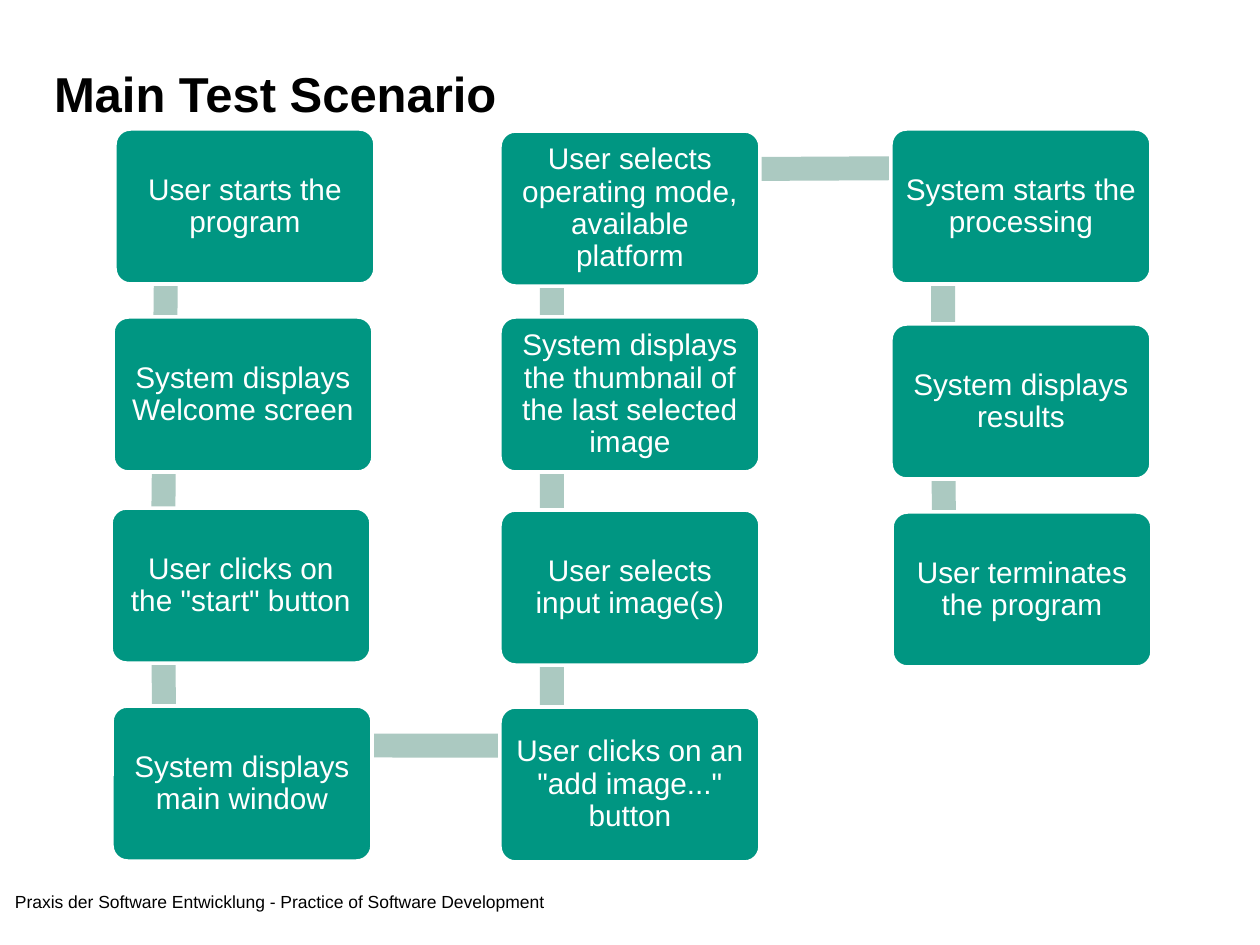
from dataclasses import dataclass
from itertools import pairwise
from math import atan2, degrees, hypot

from pptx import Presentation
from pptx.dml.color import RGBColor
from pptx.enum.shapes import MSO_SHAPE
from pptx.enum.text import MSO_ANCHOR, MSO_AUTO_SIZE, PP_ALIGN
from pptx.util import Pt

RECT, ROUNDED = MSO_SHAPE.RECTANGLE, MSO_SHAPE.ROUNDED_RECTANGLE
TOP, MIDDLE, BOTTOM = MSO_ANCHOR.TOP, MSO_ANCHOR.MIDDLE, MSO_ANCHOR.BOTTOM
LEFT, CENTER = PP_ALIGN.LEFT, PP_ALIGN.CENTER
NO_AUTOFIT = MSO_AUTO_SIZE.NONE
TITLE_ONLY = 5
PX_PER_INCH = 126


@dataclass(frozen=True)
class Theme:
    font: str = "Arial"
    ink: RGBColor = RGBColor.from_string("000000")
    paper: RGBColor = RGBColor.from_string("FFFFFF")
    step: RGBColor = RGBColor.from_string("009682")
    link: RGBColor = RGBColor.from_string("ABC9C1")
    title_size: int = 28
    step_size: int = 17
    footer_size: int = 10


THEME = Theme()

# Step size, and the point inside each step where its links meet
STEP_W, STEP_H = 260, 155
JOINT_X, JOINT_Y = 52, 39
LINK_THICKNESS = 24

# Steps in flow order: left, top, wording
STEPS = [
    (115, 129, "User starts the program"),
    (113, 317, "System displays Welcome screen"),
    (111, 508, 'User clicks on the "start" button'),
    (112, 706, "System displays main window"),
    (500, 707, 'User clicks on an "add image..." button'),
    (500, 510, "User selects input image(s)"),
    (500, 317, "System displays the thumbnail of the last selected image"),
    (500, 131, "User selects operating mode, available platform"),
    (891, 129, "System starts the processing"),
    (891, 324, "System displays results"),
    (892, 512, "User terminates the program"),
]


def px(length):
    return round(length * 914400 / PX_PER_INCH)


def write(frame, text, *, size, color=THEME.ink, bold=False, align=LEFT,
          anchor=TOP, inset=0, spacing=1.0):
    frame.word_wrap = True
    frame.auto_size = NO_AUTOFIT
    frame.vertical_anchor = anchor
    frame.margin_left = frame.margin_right = px(inset)
    frame.margin_top = frame.margin_bottom = px(inset)
    paragraph = frame.paragraphs[0]
    paragraph.alignment = align
    paragraph.line_spacing = spacing
    run = paragraph.add_run()
    run.text = text
    run.font.name = THEME.font
    run.font.size = Pt(size)
    run.font.bold = bold
    run.font.color.rgb = color


class ScenarioSlide:
    def __init__(self, deck, theme):
        self.theme = theme
        self.slide = deck.slides.add_slide(deck.slide_layouts[TITLE_ONLY])

    def title(self, text, left, top, width, height):
        heading = self.slide.shapes.title
        heading.left, heading.top = px(left), px(top)
        heading.width, heading.height = px(width), px(height)
        write(heading.text_frame, text, size=self.theme.title_size,
              bold=True, anchor=BOTTOM)

    def block(self, preset, left, top, width, height, color):
        block = self.slide.shapes.add_shape(
            preset, px(left), px(top), px(width), px(height))
        block.shadow.inherit = False
        block.fill.solid()
        block.fill.fore_color.rgb = color
        block.line.fill.background()
        return block

    def link(self, start, end):
        """Lay a bar from one step's joint to the next one's."""
        run, rise = end[0] - start[0], end[1] - start[1]
        length = round(hypot(run, rise))
        left = (start[0] + end[0] - length) / 2
        top = (start[1] + end[1] - LINK_THICKNESS) / 2
        bar = self.block(RECT, left, top, length, LINK_THICKNESS,
                         self.theme.link)
        bar.rotation = round(degrees(atan2(rise, run)), 1) % 360

    def step(self, left, top, text):
        step = self.block(ROUNDED, left, top, STEP_W, STEP_H, self.theme.step)
        step.adjustments[0] = 0.1
        step.line.color.rgb = self.theme.paper
        step.line.width = Pt(2)
        write(step.text_frame, text, size=self.theme.step_size,
              color=self.theme.paper, align=CENTER, anchor=MIDDLE,
              inset=9, spacing=0.9)

    def footer(self, text, left, top, width, height):
        box = self.slide.shapes.add_textbox(
            px(left), px(top), px(width), px(height))
        write(box.text_frame, text, size=self.theme.footer_size)


def main():
    deck = Presentation()
    deck.slide_width, deck.slide_height = px(1260), px(945)
    scenario = ScenarioSlide(deck, THEME)

    scenario.title("Main Test Scenario", 54, 45, 953, 77)

    # Links go first so that the steps cover their ends
    joints = [(left + JOINT_X, top + JOINT_Y) for left, top, _ in STEPS]
    for start, end in pairwise(joints):
        scenario.link(start, end)

    # Steps
    for left, top, text in STEPS:
        scenario.step(left, top, text)

    scenario.footer(
        "Praxis der Software Entwicklung - Practice of Software Development",
        15, 891, 770, 49)

    deck.save("out.pptx")


if __name__ == "__main__":
    main()
